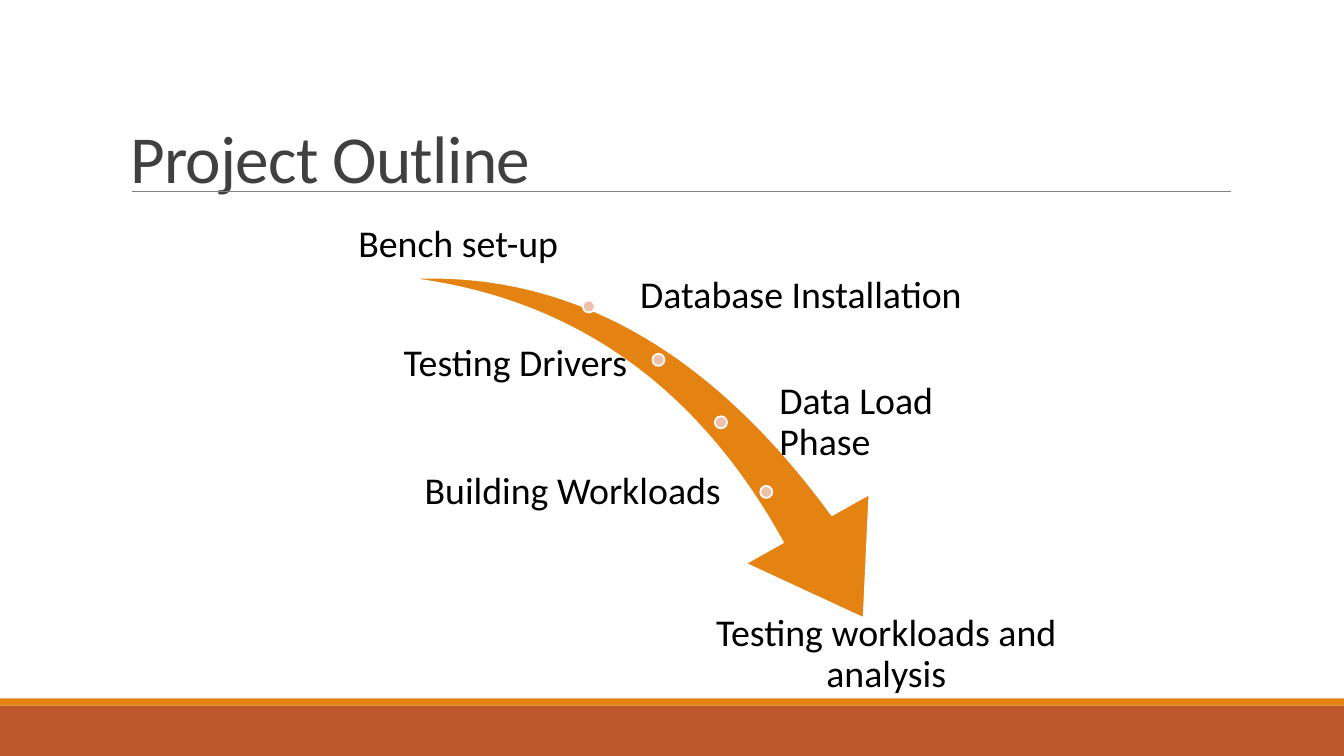
from pptx import Presentation, util as u
from pptx.dml.color import RGBColor
from pptx.enum import shapes, text
from pptx.oxml.ns import qn
from lxml import etree

WIDTH, HEIGHT = 13.33, 7.5
FONT = "Calibri"
ORANGE, RUST, PEACH, WHITE = "E48312", "BD582C", "EFC1AB", "FFFFFF"
GREY, DARK, BLACK = "808080", "404040", "000000"
LABEL_HEIGHT, DOT = 0.9, 0.12
LEFT, CENTER, RIGHT = text.PP_ALIGN.LEFT, text.PP_ALIGN.CENTER, text.PP_ALIGN.RIGHT
TOP, MIDDLE, BOTTOM = (text.MSO_ANCHOR.TOP, text.MSO_ANCHOR.MIDDLE,
                       text.MSO_ANCHOR.BOTTOM)

HEADING = "Project Outline"
# wording, left, top, width, alignment, anchor
STEPS = [
    ("Bench set-up", 3.4, 1.78, 2.29, CENTER, BOTTOM),
    ("Database Installation", 6.31, 2.49, 3.4, LEFT, MIDDLE),
    ("Testing Drivers", 2.85, 3.16, 3.41, RIGHT, MIDDLE),
    ("Data Load Phase", 7.69, 3.74, 2.29, LEFT, MIDDLE),
    ("Building Workloads", 3.79, 4.43, 3.4, RIGHT, MIDDLE),
    ("Testing workloads and analysis", 6.82, 6.05, 3.94, CENTER, TOP),
]
# left and top of the milestones along the swoosh
MILESTONES = [(5.78, 2.98), (6.47, 3.51), (7.09, 4.13), (7.54, 4.82)]


def color(value):
    """Turn a hex string into a colour."""
    return RGBColor.from_string(value)


def inches(*lengths):
    """Turn numbers into lengths in inches."""
    return [u.Inches(length) for length in lengths]


def add_part(kind, box, fill, outline=None):
    """Add a flat preset shape, with an outline if one is given."""
    part = slide.shapes.add_shape(kind, *inches(*box))
    part.shadow.inherit = False
    part.fill.solid()
    part.fill.fore_color.rgb = color(fill)
    if outline:
        part.line.color.rgb = color(outline)
        part.line.width = u.Pt(1.25)
    else:
        part.line.fill.background()
    return part


def write(frame, wording, size, ink, align, anchor, spacing):
    """Put one formatted paragraph into a text frame."""
    frame.text = wording
    frame.word_wrap = True
    frame.vertical_anchor = anchor
    paragraph = frame.paragraphs[0]
    paragraph.alignment = align
    paragraph.line_spacing = spacing
    font = paragraph.runs[0].font
    font.name, font.size = FONT, u.Pt(size)
    font.color.rgb = color(ink)
    return paragraph


def add_step(wording, left, top, width, align, anchor):
    """Add the label of one project step."""
    box = slide.shapes.add_textbox(*inches(left, top, width, LABEL_HEIGHT))
    frame = box.text_frame
    frame.margin_left = frame.margin_right = u.Inches(0.04)
    frame.margin_top = frame.margin_bottom = u.Inches(0.04)
    paragraph = write(frame, wording, 27, BLACK, align, anchor, 0.9)
    paragraph.space_after = u.Pt(9.45)


def add_rule(left, right, y):
    """Draw the thin line under the title."""
    rule = slide.shapes.add_connector(
        shapes.MSO_CONNECTOR.STRAIGHT, *inches(left, y, right, y))
    rule.line.color.rgb = color(GREY)
    rule.line.width = u.Pt(0.5)
    etree.SubElement(rule._element.spPr, qn("a:effectLst"))


deck = Presentation()
deck.slide_width, deck.slide_height = inches(WIDTH, HEIGHT)
slide = deck.slides.add_slide(deck.slide_layouts[5])
SHAPE = shapes.MSO_SHAPE

add_part(SHAPE.RECTANGLE, (0, 7, WIDTH, 0.5), RUST)
add_part(SHAPE.RECTANGLE, (0, 6.93, WIDTH, 0.07), ORANGE)
add_rule(1.31, 12.21, 1.9)

title = slide.shapes.title
title.left, title.top, title.width, title.height = inches(1.19, 0.42, 11, 1.59)
heading = write(title.text_frame, HEADING, 48, DARK, LEFT, BOTTOM, 0.85)
heading.runs[0].font._element.set("spc", "-50")

swoosh = add_part(SHAPE.SWOOSH_ARROW, (4.12, 2.65, 4.86, 3.39), ORANGE, WHITE)
swoosh.rotation = 67.2
swoosh.adjustments[0], swoosh.adjustments[1] = 0.163, 0.314

for left, top in MILESTONES:
    add_part(SHAPE.OVAL, (left, top, DOT, DOT), PEACH, WHITE)
for step in STEPS:
    add_step(*step)

deck.save("out.pptx")
